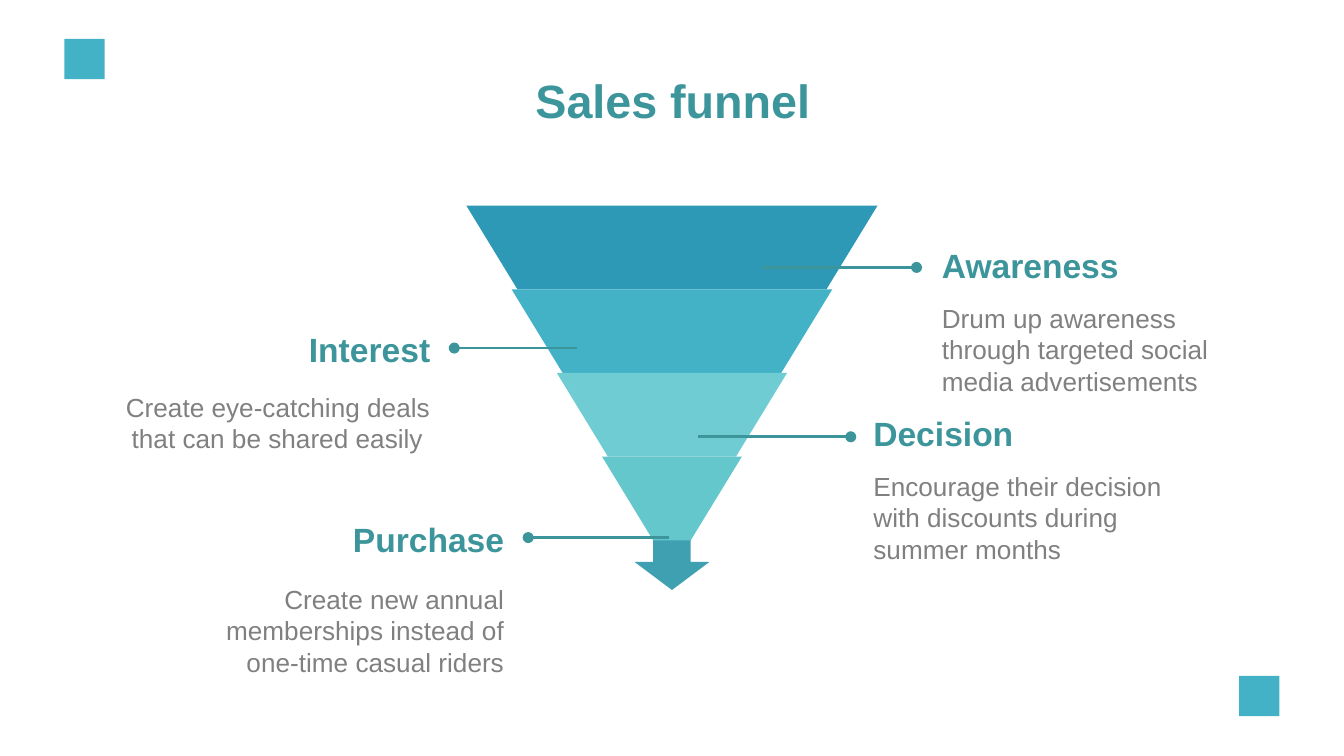
from lxml import etree
from pptx import Presentation
from pptx.dml.color import RGBColor
from pptx.enum.shapes import MSO_CONNECTOR, MSO_SHAPE
from pptx.enum.text import MSO_ANCHOR, PP_ALIGN
from pptx.oxml.ns import qn
from pptx.util import Inches, Pt

LEFT, CENTER, RIGHT = PP_ALIGN.LEFT, PP_ALIGN.CENTER, PP_ALIGN.RIGHT
TOP, MIDDLE = MSO_ANCHOR.TOP, MSO_ANCHOR.MIDDLE
RECT, ARROW = MSO_SHAPE.RECTANGLE, MSO_SHAPE.DOWN_ARROW
STRAIGHT = MSO_CONNECTOR.STRAIGHT

TEAL, GRAY, BLUE = "3D959C", "808080", "43B2C7"
TITLE = "Sales funnel"
BANDS = ["2E99B7", BLUE, "70CCD3", "63C7CC"]
CORNERS = [(0.48, 0.29), (9.22, 5.03)]
STAGES = [
    {"name": "Awareness", "note": "Drum up awareness through targeted social media advertisements",
     "align": LEFT, "head": (6.91, 1.75, 2.17, 0.44), "body": (6.91, 2.15, 2.3, 0.86),
     "line": (6.82, 5.67, 1.99)},
    {"name": "Interest", "note": "Create eye-catching deals that can be shared easily ",
     "align": RIGHT, "head": (1.13, 2.38, 2.17, 0.44), "body": (0.8, 2.81, 2.5, 0.63),
     "line": (3.38, 4.29, 2.59)},
    {"name": "Decision", "note": "Encourage their decision with discounts during summer months",
     "align": LEFT, "head": (6.4, 3, 2.17, 0.44), "body": (6.4, 3.4, 2.55, 0.79),
     "line": (6.33, 5.19, 3.25)},
    {"name": "Purchase", "note": "Create new annual memberships instead of one-time casual riders",
     "align": RIGHT, "head": (1.98, 3.79, 1.87, 0.44), "body": (1.3, 4.24, 2.55, 0.63),
     "line": (3.93, 4.98, 4)},
]
MID, CREST, BASE = 5, 1.53, 4.02
HALF, TIP, INSET = 1.53, 0.52, 0.38


def color(code):
    return RGBColor.from_string(code)


def paint(shape, code):
    shape.shadow.inherit = False
    shape.fill.solid()
    shape.fill.fore_color.rgb = color(code)
    shape.line.fill.background()


def add_form(slide, kind, box, code):
    paint(slide.shapes.add_shape(kind, *map(Inches, box)), code)


def add_text(slide, text, box, size, code, align, anchor=MIDDLE, bold=True):
    frame = slide.shapes.add_textbox(*map(Inches, box)).text_frame
    frame.word_wrap = True
    frame.vertical_anchor = anchor
    frame.margin_left = frame.margin_right = Inches(0.1)
    frame.margin_top = frame.margin_bottom = Inches(0.1)
    para = frame.paragraphs[0]
    para.text = text
    para.alignment = align
    font = para.font
    font.name, font.size, font.bold = "Arial", Pt(size), bold
    font.color.rgb = color(code)


def add_band(slide, index, code):
    high = (BASE - CREST) / len(BANDS)
    wide = HALF - index * (HALF - TIP) / (len(BANDS) - 1)
    low = wide - INSET
    top = CREST + index * high
    points = [(MID - wide, top), (MID - low, top + high),
              (MID + low, top + high), (MID + wide, top)]
    points = [(Inches(x), Inches(y)) for x, y in points]
    form = slide.shapes.build_freeform(*points[0])
    form.add_line_segments(points[1:], close=True)
    paint(form.convert_to_shape(), code)


def add_line(slide, start, end, y):
    line = slide.shapes.add_connector(STRAIGHT, *map(Inches, (start, y, end, y)))
    line.line.color.rgb = color(TEAL)
    line.line.width = Pt(1.5)
    etree.SubElement(line.line._get_or_add_ln(), qn("a:headEnd"), type="oval")
    etree.SubElement(line._element.spPr, qn("a:effectLst"))


def main():
    deck = Presentation()
    deck.slide_width = Inches(10)
    deck.slide_height = deck.slide_width * 9 // 16
    slide = deck.slides.add_slide(deck.slide_layouts[6])
    for x, y in CORNERS:
        add_form(slide, RECT, (x, y, 0.3, 0.3), BLUE)
    add_form(slide, ARROW, (4.72, 3.97, 0.56, 0.42), "3FA0B2")
    add_text(slide, TITLE, (0.79, 0.59, 8.43, 0.3), 25, TEAL, CENTER)
    for index, code in enumerate(BANDS):
        add_band(slide, index, code)
    for stage in STAGES:
        add_line(slide, *stage["line"])
        add_text(slide, stage["name"], stage["head"], 18, TEAL, stage["align"])
        add_text(slide, stage["note"], stage["body"], 14, GRAY, stage["align"], TOP, False)
    deck.save("out.pptx")


if __name__ == "__main__":
    main()
